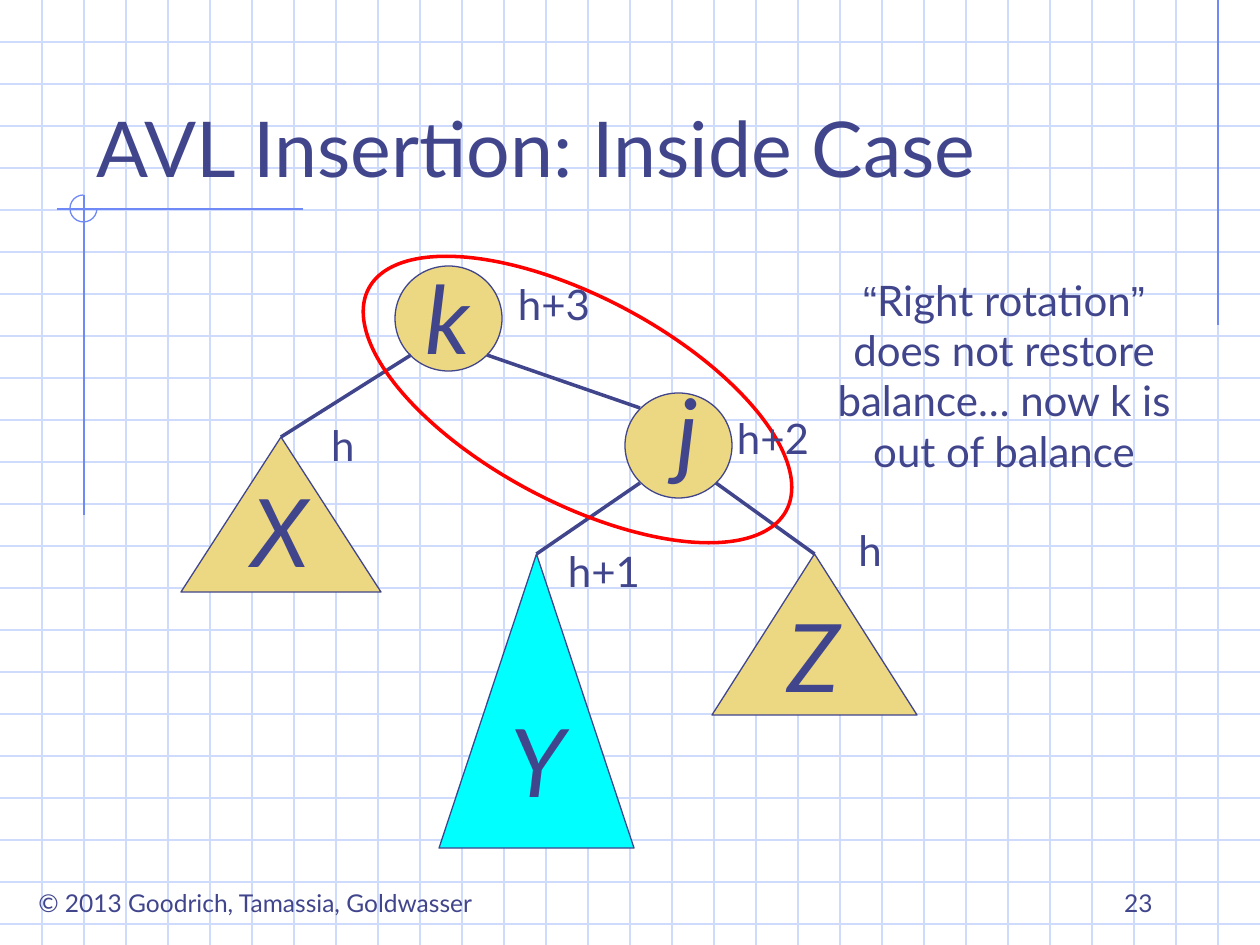
"""Builds the AVL insertion slide showing the inside case on a squared-paper background."""
from typing import NamedTuple

from lxml.etree import SubElement
from pptx import Presentation
from pptx.dml.color import RGBColor
from pptx.enum.shapes import MSO_CONNECTOR, MSO_SHAPE
from pptx.enum.text import MSO_ANCHOR, PP_ALIGN
from pptx.oxml.ns import qn
from pptx.shapes.autoshape import Shape
from pptx.shapes.connector import Connector
from pptx.slide import Slide
from pptx.util import Emu, Pt

EMU_PER_PX = 914400 / 126
WIDTH, HEIGHT, GRID_STEP = 1260, 945, 42
THIN, THICK = 0.75, 2

INK = RGBColor(0x40, 0x45, 0x8C)
GRID = RGBColor(0xCF, 0xDB, 0xFD)
ACCENT = RGBColor(0x6F, 0x89, 0xF7)
SAND = RGBColor(0xEC, 0xD8, 0x82)
CYAN = RGBColor(0x00, 0xFF, 0xFF)
RED = RGBColor(0xFF, 0x00, 0x00)


class Box(NamedTuple):
    left: int
    top: int
    width: int
    height: int


class Label(NamedTuple):
    text: str
    box: Box
    size: int = 24
    italic: bool = False
    align: PP_ALIGN = PP_ALIGN.CENTER
    anchor: MSO_ANCHOR = MSO_ANCHOR.TOP


class Node(NamedTuple):
    name: str
    kind: MSO_SHAPE
    box: Box
    fill: RGBColor
    letter_left: int
    letter_top: int


class Edge(NamedTuple):
    start_x: int
    start_y: int
    end_x: int
    end_y: int
    subtree: str = ""


class Rule(NamedTuple):
    start_x: int
    start_y: int
    end_x: int
    end_y: int
    color: RGBColor


NODES = [
    Node("j", MSO_SHAPE.OVAL, Box(625, 393, 107, 105), SAND, 654, 367),
    Node("k", MSO_SHAPE.OVAL, Box(395, 266, 107, 105), SAND, 413, 254),
    Node("X", MSO_SHAPE.ISOSCELES_TRIANGLE, Box(181, 437, 200, 155), SAND, 239, 467),
    Node("Y", MSO_SHAPE.ISOSCELES_TRIANGLE, Box(439, 554, 195, 294), CYAN, 498, 697),
    Node("Z", MSO_SHAPE.ISOSCELES_TRIANGLE, Box(712, 554, 205, 161), SAND, 775, 592),
]
EDGES = [
    Edge(640, 483, 537, 554, "Y"),
    Edge(411, 355, 281, 437, "X"),
    Edge(716, 483, 815, 554, "Z"),
    Edge(487, 355, 640, 408),
]
RULES = [
    *(Rule(0, y, WIDTH, y, GRID) for y in range(GRID_STEP, HEIGHT, GRID_STEP)),
    *(Rule(x, 0, x, HEIGHT, GRID) for x in range(GRID_STEP, WIDTH, GRID_STEP)),
    Rule(1218, 0, 1218, 325, ACCENT),
    Rule(303, 209, 57, 209, ACCENT),
    Rule(84, 195, 84, 515, ACCENT),
]
HEADINGS = [
    Label("© 2013 Goodrich, Tamassia, Goldwasser", Box(11, 882, 489, 43), 14),
    Label("AVL Insertion: Inside Case", Box(84, 42, 1071, 157), 44,
          align=PP_ALIGN.LEFT, anchor=MSO_ANCHOR.BOTTOM),
    Label("23", Box(903, 861, 262, 63), 14,
          align=PP_ALIGN.RIGHT, anchor=MSO_ANCHOR.BOTTOM),
]
REMARK = Label("“Right rotation”\ndoes not restore\nbalance… now k is\nout of balance",
               Box(813, 268, 382, 214))
HEIGHTS = [
    Label("h", Box(846, 518, 46, 63)),
    Label("h+1", Box(554, 539, 100, 63)),
    Label("h", Box(318, 413, 50, 63)),
    Label("h+2", Box(718, 406, 110, 63)),
    Label("h+3", Box(499, 272, 110, 63)),
]


def px(length: int) -> Emu:
    """Turns pixels into EMU."""
    return Emu(round(length * EMU_PER_PX))


def draw_line(slide: Slide, line: Rule | Edge, color: RGBColor, weight: float) -> Connector:
    """Draws a straight connector without a shadow."""
    connector = slide.shapes.add_connector(MSO_CONNECTOR.STRAIGHT, *map(px, line[:4]))
    connector.line.color.rgb = color
    connector.line.width = Pt(weight)
    SubElement(connector._element.spPr, qn("a:effectLst"))
    return connector


def draw_shape(slide: Slide, kind: MSO_SHAPE, box: Box, line: RGBColor,
               weight: float = THIN, fill: RGBColor | None = None) -> Shape:
    """Draws a preset shape, unfilled when no fill is given."""
    shape = slide.shapes.add_shape(kind, *map(px, box))
    shape.shadow.inherit = False
    if fill is None:
        shape.fill.background()
    else:
        shape.fill.solid()
        shape.fill.fore_color.rgb = fill
    shape.line.color.rgb = line
    shape.line.width = Pt(weight)
    return shape


def draw_label(slide: Slide, label: Label) -> None:
    """Draws a text box, setting quotation marks in their own font."""
    frame = slide.shapes.add_textbox(*map(px, label.box)).text_frame
    frame.word_wrap = label.align != PP_ALIGN.CENTER
    frame.vertical_anchor = label.anchor
    for index, text in enumerate(label.text.split("\n")):
        paragraph = frame.add_paragraph() if index else frame.paragraphs[0]
        paragraph.alignment = label.align
        parts = text.replace("“", "“\t").replace("”", "\t”").split("\t")
        for part in parts:
            run = paragraph.add_run()
            run.text = part
            run.font.color.rgb = INK
            font_format = {
                "name": "Arial" if part in "“”" else "Lato",
                "size": Pt(label.size),
                "italic": label.italic,
            }
            for attribute, value in font_format.items():
                setattr(run.font, attribute, value)


def draw_node(slide: Slide, node: Node) -> Shape:
    """Draws a tree node or subtree with its letter."""
    shape = draw_shape(slide, node.kind, node.box, INK, fill=node.fill)
    letter_box = Box(node.letter_left, node.letter_top, 66, 126)
    draw_label(slide, Label(node.name, letter_box, 54, italic=True))
    return shape


def main() -> None:
    """Builds and saves the presentation."""
    presentation = Presentation()
    presentation.slide_width, presentation.slide_height = px(WIDTH), px(HEIGHT)
    slide = presentation.slides.add_slide(presentation.slide_layouts[6])

    for rule in RULES:
        draw_line(slide, rule, rule.color, THIN)
    arc = draw_shape(slide, MSO_SHAPE.ARC, Box(70, 195, 27, 27), ACCENT)
    arc.adjustments[0], arc.adjustments[1] = 0, 162

    for heading in HEADINGS:
        draw_label(slide, heading)
    nodes = {node.name: draw_node(slide, node) for node in NODES}
    for edge in EDGES:
        connector = draw_line(slide, edge, INK, THICK)
        if edge.subtree:
            connector.end_connect(nodes[edge.subtree], 0)

    draw_label(slide, REMARK)
    highlight = draw_shape(slide, MSO_SHAPE.OVAL, Box(341, 297, 473, 205), RED, THICK)
    highlight.rotation = 28
    for height in HEIGHTS:
        draw_label(slide, height)
    presentation.save("out.pptx")


if __name__ == "__main__":
    main()
